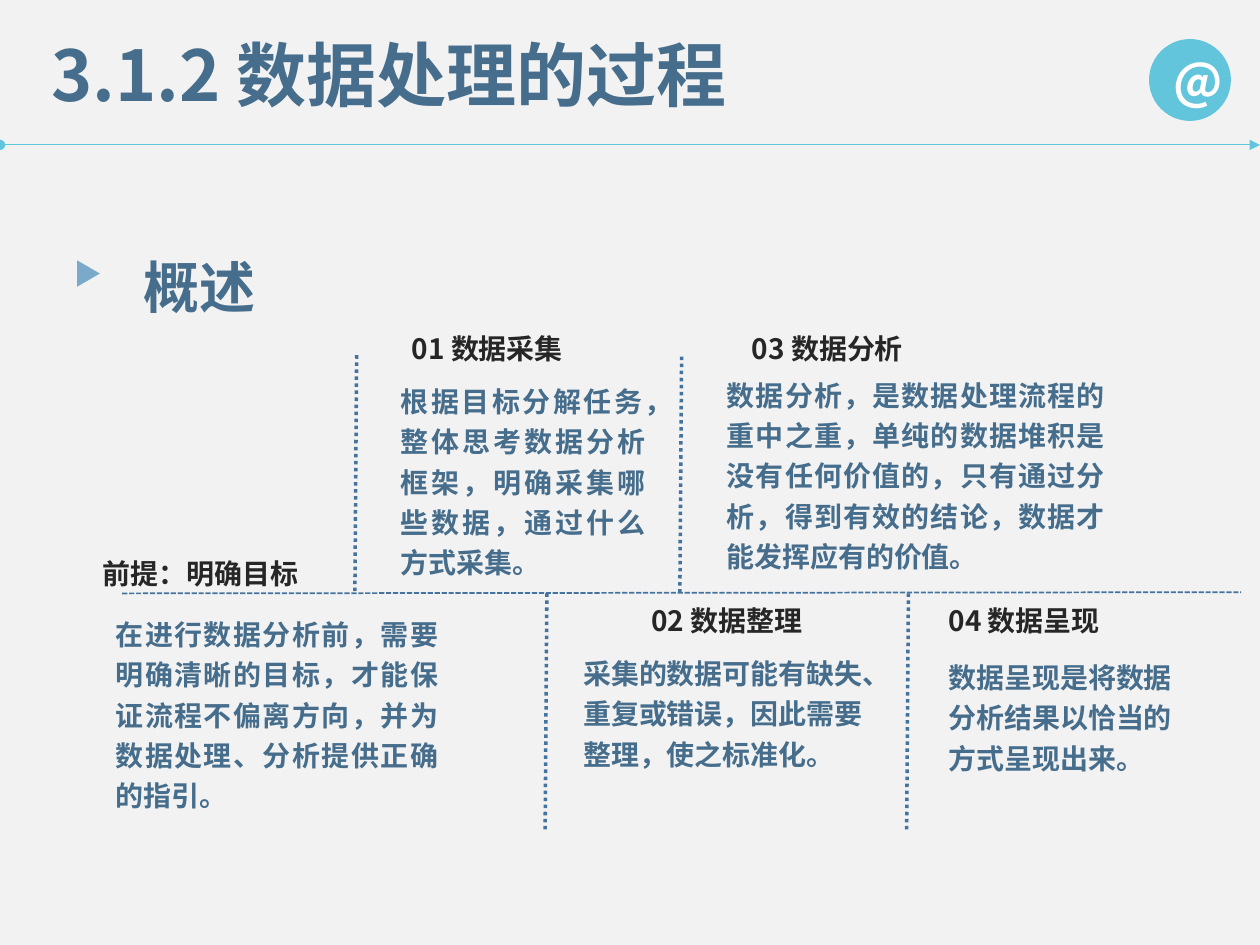
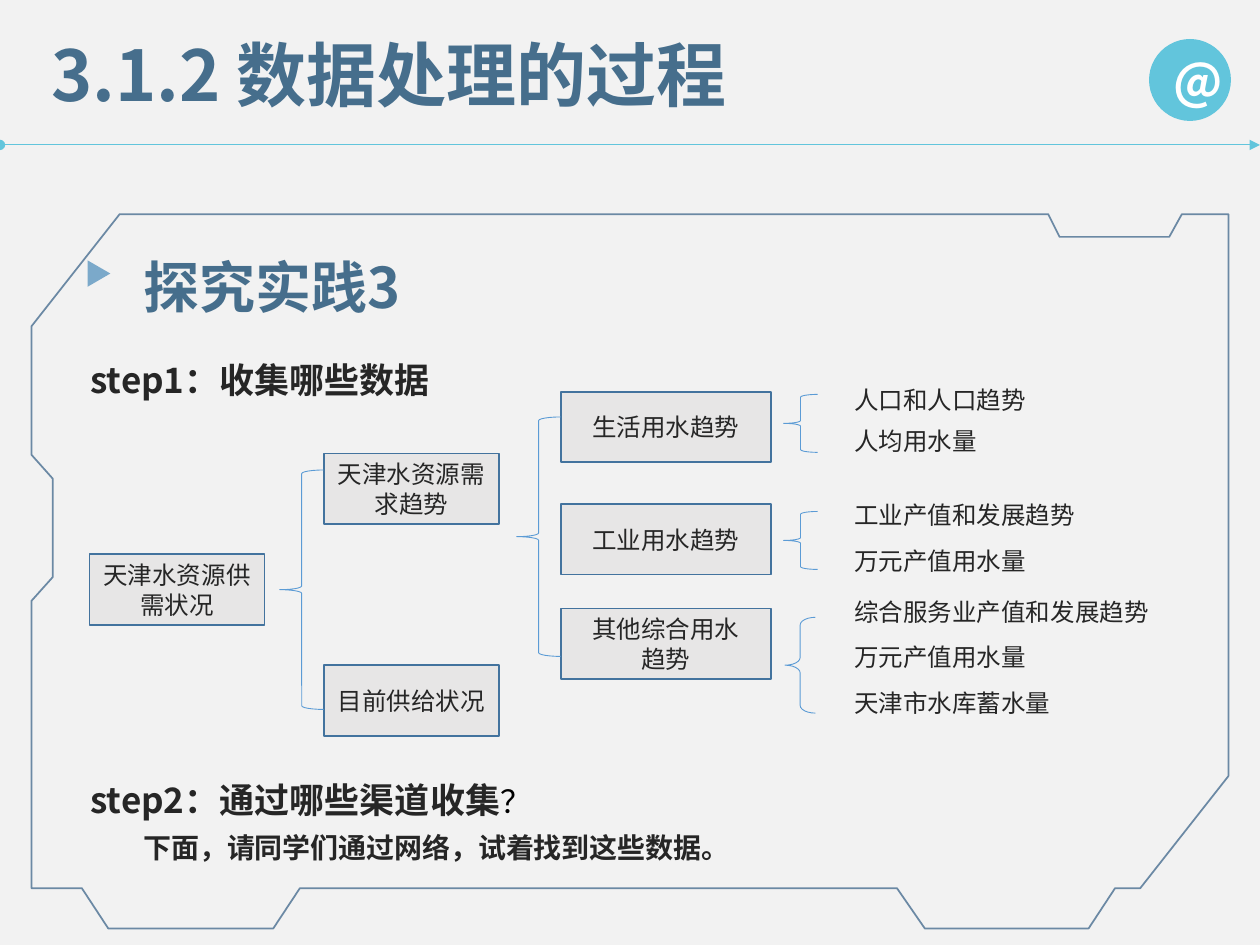
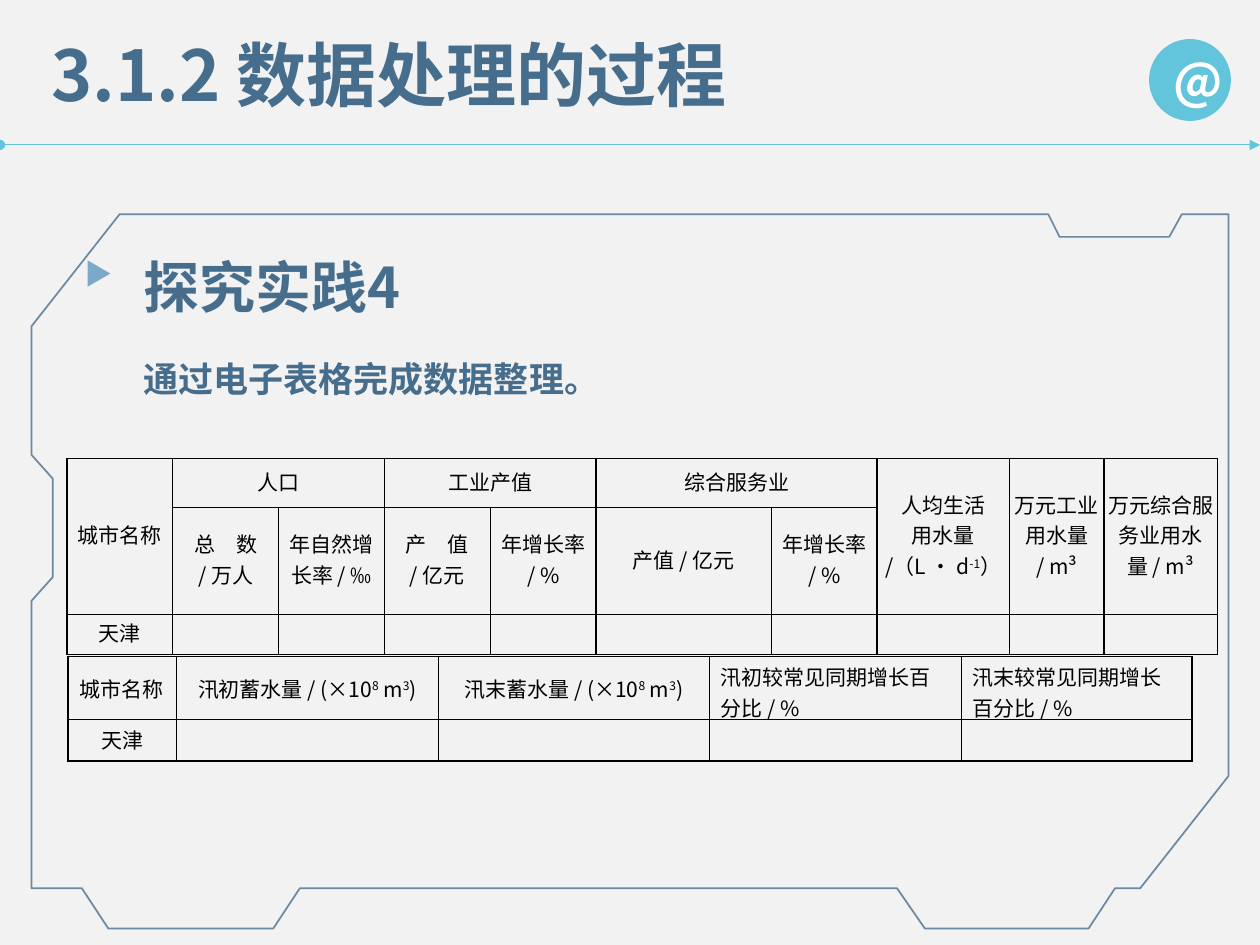
from dataclasses import dataclass
from lxml import etree
from pptx import Presentation
from pptx.dml.color import RGBColor
from pptx.enum.dml import MSO_LINE
from pptx.enum.shapes import MSO_CONNECTOR, MSO_SHAPE
from pptx.enum.text import MSO_ANCHOR, MSO_AUTO_SIZE, PP_ALIGN
from pptx.oxml.ns import qn
from pptx.util import Pt

LEFT, MID, JUST = PP_ALIGN.LEFT, PP_ALIGN.CENTER, PP_ALIGN.JUSTIFY
TOP, CENTRE = MSO_ANCHOR.TOP, MSO_ANCHOR.MIDDLE
DASH, DOT = MSO_LINE.SQUARE_DOT, MSO_LINE.ROUND_DOT
STRAIGHT, GROW = MSO_CONNECTOR.STRAIGHT, MSO_AUTO_SIZE.SHAPE_TO_FIT_TEXT
OVAL, RECT = MSO_SHAPE.OVAL, MSO_SHAPE.RECTANGLE
WEDGE, BRACE = MSO_SHAPE.ISOSCELES_TRIANGLE, MSO_SHAPE.LEFT_BRACE


@dataclass(frozen=True)
class Style:
    size: int
    color: RGBColor
    bold: bool = True
    align: PP_ALIGN = LEFT
    space: float = 1.0


class Theme:
    font = "Noto Sans CJK SC"
    back = RGBColor.from_string("F2F2F2")
    cyan = RGBColor.from_string("62C5DC")
    blue = RGBColor.from_string("466E8C")
    sky = RGBColor.from_string("7BA9CA")
    edge = RGBColor.from_string("43739E")
    brace = RGBColor.from_string("5B9BD5")
    navy = RGBColor.from_string("1F4E79")
    grey = RGBColor.from_string("E7E6E6")
    ink = RGBColor.from_string("262626")
    black = RGBColor.from_string("000000")
    white = RGBColor.from_string("FFFFFF")
    title = Style(40, blue)
    badge = Style(28, white, align=MID)
    head = Style(32, blue, space=1.5)
    label = Style(16, ink)
    body = Style(16, blue, space=1.2)
    full = Style(16, blue, align=JUST, space=1.2)
    note = Style(16, ink, space=1.2)
    step = Style(20, ink)
    ask = Style(20, ink, space=1.2)
    task = Style(20, blue, space=1.2)
    node = Style(14, ink, False, MID)
    leaf = Style(14, ink, False)
    cell = Style(12, black, False, MID)
    side = Style(12, black, False)


def write(frame, text, style):
    """Fill a frame; every second part between ^ marks is superscript."""
    for i, line in enumerate(text.split("\n")):
        para = frame.add_paragraph() if i else frame.paragraphs[0]
        para.alignment = style.align
        para.line_spacing = style.space
        para.font.name = Theme.font
        para.font.size = Pt(style.size)
        para.font.bold = style.bold
        para.font.color.rgb = style.color
        base = para._p.pPr.find(qn("a:defRPr"))
        etree.SubElement(base, qn("a:ea"), typeface=Theme.font)
        for j, part in enumerate(line.split("^")):
            if part:
                run = para.add_run()
                run.text = part
                if j % 2:
                    run._r.get_or_add_rPr().set("baseline", "30000")
        if not line:
            etree.SubElement(para._p, qn("a:endParaRPr"),
                             sz=str(style.size * 100))


def rule(slide, ends, color, width, dash=None):
    line = slide.shapes.add_connector(STRAIGHT, *map(Pt, ends))
    line.line.color.rgb = color
    line.line.width = Pt(width)
    if dash:
        line.line.dash_style = dash
    etree.SubElement(line._element.spPr, qn("a:effectLst"))
    return line


deck = Presentation()
deck.slide_width, deck.slide_height = Pt(720), Pt(540)
fill = deck.slide_master.background.fill
fill.solid()
fill.fore_color.rgb = Theme.back
pages = [deck.slides.add_slide(deck.slide_layouts[6]) for _ in range(3)]
over, tree, sheet = pages

# Outline of the practice panel, clockwise from its lower right
panel = [
    (528.5, 530.6), (622.1, 530.6), (637.2, 507.6), (651.6, 507.6),
    (702, 443.5), (702, 122.4), (675.4, 122.4), (668.2, 135.4),
    (605.5, 135.4), (599, 122.4), (68.4, 122.4), (18, 186.5),
    (18, 259.9), (30.2, 273.6), (30.2, 329.8), (18, 343.4),
    (18, 507.6), (46.8, 507.6), (61.9, 530.6), (156.2, 530.6),
    (171.4, 507.6), (512.6, 507.6),
]

# Shared header, heading marker and panel
for page, mark in zip(pages, (43, 49, 49)):
    line = rule(page, (0, 82.8, 720, 82.8), Theme.cyan, 0.5)
    pen = line.line._get_or_add_ln()
    etree.SubElement(pen, qn("a:headEnd"), type="oval")
    etree.SubElement(pen, qn("a:tailEnd"), type="triangle")

    for kind, rect, color in (
        (OVAL, (656.6, 22.3, 46.8, 46.8), Theme.cyan),
        (WEDGE, (mark, 149.8, 15.1, 13), Theme.sky),
    ):
        shape = page.shapes.add_shape(kind, *map(Pt, rect))
        shape.shadow.inherit = False
        shape.fill.solid()
        shape.fill.fore_color.rgb = color
        shape.line.fill.background()
        if kind == OVAL:
            write(shape.text_frame, "@", Theme.badge)
        else:
            shape.rotation = 90

    if page is not over:
        spots = [(Pt(x), Pt(y)) for x, y in panel]
        draft = page.shapes.build_freeform(*spots[0])
        draft.add_line_segments(spots[1:], close=True)
        shape = draft.convert_to_shape()
        shape.shadow.inherit = False
        shape.fill.background()
        shape.line.color.rgb = Theme.navy
        shape.line.width = Pt(1)
        tint = shape._element.spPr.find(".//" + qn("a:srgbClr"))
        etree.SubElement(tint, qn("a:alpha"), val="64000")

# Overview: time axis and dividers
rule(over, (69.8, 339.1, 709.2, 338.4), Theme.edge, 1, DASH)
for x, y in ((203.8, 203), (312.5, 339.1), (389.5, 203.8), (519.1, 339.1)):
    rule(over, (x, y, x - 1, y + 136), Theme.edge, 2, DOT)

# Text boxes of all slides
texts = [(page, (22.3, 14.4, 499.7, 55.4), "3.1.2 数据处理的过程", Theme.title)
         for page in pages]
texts += [(page, (74.9, 121.7, 447.8, 57), text, Theme.head)
          for page, text in zip(pages, ("概述", "探究实践3", "探究实践4"))]
texts += [(over, (x, y, w, 26.6), text, Theme.label) for x, y, w, text in (
    (51.8, 314.6, 162.7, "前提：明确目标"),
    (228.2, 185.8, 121.7, "01 数据采集"),
    (365, 341.3, 121.7, "02 数据整理"),
    (422.6, 185.8, 121.7, "03 数据分析"),
    (535, 341.3, 121.7, "04 数据呈现"),
)]
texts += [
    (over, (59, 345.6, 198.7, 123.1),
     "在进行数据分析前，需要明确清晰的目标，才能保证流程不偏离方向，"
     "并为数据处理、分析提供正确的指引。", Theme.full),
    (over, (221.8, 212.4, 154.1, 123.1),
     "根据目标分解任务，整体思考数据分析框架，明确采集哪些数据，"
     "通过什么方式采集。", Theme.full),
    (over, (326.2, 367.9, 177.8, 77),
     "采集的数据可能有缺失、重复或错误，因此需要整理，使之标准化。",
     Theme.body),
    (over, (408.2, 208.8, 230.4, 123.1),
     "数据分析，是数据处理流程的重中之重，单纯的数据堆积是没有任何价值的，"
     "只有通过分析，得到有效的结论，数据才能发挥应有的价值。", Theme.full),
    (over, (535, 370.1, 143.3, 77),
     "数据呈现是将数据分析结果以恰当的方式呈现出来。", Theme.body),
    (tree, (44.6, 201.6, 221, 31.7), "step1：收集哪些数据", Theme.step),
    (tree, (74.9, 467.3, 513.4, 30.2),
     "下面，请同学们通过网络，试着找到这些数据。", Theme.note),
    (tree, (44.6, 436.3, 260, 36), "step2：通过哪些渠道收集", Theme.ask),
    (sheet, (74.9, 195.8, 468, 36), "通过电子表格完成数据整理。", Theme.task),
]
texts += [(tree, (481, y, 195, 24.5), text, Theme.leaf) for y, text in (
    (216.7, "人口和人口趋势"), (239.8, "人均用水量"),
    (282.2, "工业产值和发展趋势"), (308.2, "万元产值用水量"),
    (337.7, "综合服务业产值和发展趋势"), (363.6, "万元产值用水量"),
    (389.5, "天津市水库蓄水量"),
)]
for page, rect, text, style in texts:
    frame = page.shapes.add_textbox(*map(Pt, rect)).text_frame
    frame.word_wrap = True
    frame.auto_size = GROW
    write(frame, text, style)
    if style is Theme.ask:
        run = frame.paragraphs[0].add_run()
        run.text = "？"
        run.font.name = "Calibri"
        run.font.size = Pt(18)
        run.font.bold = False
        run.font.color.rgb = Theme.black

# Water tree: boxes
for x, y, w, text in (
    (51.1, 316.8, 100.1, "天津水资源供需状况"),
    (185, 259.2, 100.1, "天津水资源需求趋势"),
    (185, 380.2, 100.1, "目前供给状况"),
    (320.4, 223.9, 120.2, "生活用水趋势"),
    (320.4, 288, 120.2, "工业用水趋势"),
    (320.4, 347.8, 120.2, "其他综合用水\n趋势"),
):
    shape = tree.shapes.add_shape(RECT, Pt(x), Pt(y), Pt(w), Pt(40.3))
    shape.shadow.inherit = False
    shape.fill.solid()
    shape.fill.fore_color.rgb = Theme.grey
    shape.line.color.rgb = Theme.edge
    shape.line.width = Pt(1)
    write(shape.text_frame, text, Theme.node)

# Water tree: braces
for rect, bend in (
    ((159.8, 268.6, 25.2, 136.8), 0.083),
    ((295.2, 238.3, 25.2, 136.8), 0.083),
    ((447.8, 225.4, 19.4, 33.1), 0.083),
    ((447.8, 292.3, 19.4, 33.1), 0.083),
    ((448.6, 352.8, 17.3, 54.7), 0.255),
):
    shape = tree.shapes.add_shape(BRACE, *map(Pt, rect))
    shape.shadow.inherit = False
    shape.adjustments[0] = bend
    shape.fill.background()
    shape.line.color.rgb = Theme.brace
    shape.line.width = Pt(0.5)

# Data tables: place, columns, rows, margins, merged spans, wording
usage = (
    (38.2, 262.1),
    (60.5, 60.5, 60.5, 60.5, 60.5, 100.1, 60.5, 75.6, 54, 64.8),
    (27.8, 61.4, 22.6), (0.7, 0.7, 0.7, 2.9),
    ((0, 0, 1, 0), (0, 1, 0, 2), (0, 3, 0, 4), (0, 5, 0, 6),
     (0, 7, 1, 7), (0, 8, 1, 8), (0, 9, 1, 9)),
    {
        (0, 0): "城市名称", (0, 1): "人口", (0, 3): "工业产值",
        (0, 5): "综合服务业",
        (0, 7): "人均生活\n用水量\n/（L · d^-1^）",
        (0, 8): "万元工业用水量\n/ m³",
        (0, 9): "万元综合服务业用水量 / m³",
        (1, 1): "总　数\n/ 万人", (1, 2): "年自然增长率 / ‰",
        (1, 3): "产　值\n/ 亿元", (1, 4): "年增长率\n/ %",
        (1, 5): "产值 / 亿元", (1, 6): "年增长率\n/ %",
        (2, 0): "天津",
    },
)
store = (
    (38.9, 375.1), (61.9, 149.8, 154.8, 144, 131.8), (36, 23.8),
    (6.5, 2.9, 6.5, 2.9), (),
    {
        (0, 0): "城市名称",
        (0, 1): "汛初蓄水量 / (×10^8^ m^3^)",
        (0, 2): "汛末蓄水量 / (×10^8^ m^3^)",
        (0, 3): "汛初较常见同期增长百分比 / %",
        (0, 4): "汛末较常见同期增长百分比 / %",
        (1, 0): "天津",
    },
)
for data in (usage, store):
    (x, y), cols, rows, pads, spans, words = data
    table = sheet.shapes.add_table(
        len(rows), len(cols), Pt(x), Pt(y), Pt(sum(cols)), Pt(sum(rows))).table
    table.first_row = table.horz_banding = False
    for col, w in zip(table.columns, cols):
        col.width = Pt(w)
    for row, h in zip(table.rows, rows):
        row.height = Pt(h)
    for r in range(len(rows)):
        for c in range(len(cols)):
            cell = table.cell(r, c)
            (cell.margin_left, cell.margin_top,
             cell.margin_right, cell.margin_bottom) = map(Pt, pads)
            high = data is store and (r == 1 or c > 2)
            cell.vertical_anchor = TOP if high else CENTRE
            side = data is store and r == 0 and c in (0, 3, 4)
            write(cell.text_frame, words.get((r, c), ""),
                  Theme.side if side else Theme.cell)
            cell.fill.background()
            props = cell._tc.get_or_add_tcPr()
            for i, tag in enumerate(("a:lnL", "a:lnR", "a:lnT", "a:lnB")):
                edge = etree.Element(qn(tag), w=str(Pt(1)))
                paint = etree.SubElement(edge, qn("a:solidFill"))
                etree.SubElement(paint, qn("a:srgbClr"), val=str(Theme.black))
                props.insert(i, edge)
    for r, c, down, right in spans:
        table.cell(r, c).merge(table.cell(down, right))

deck.save("out.pptx")
